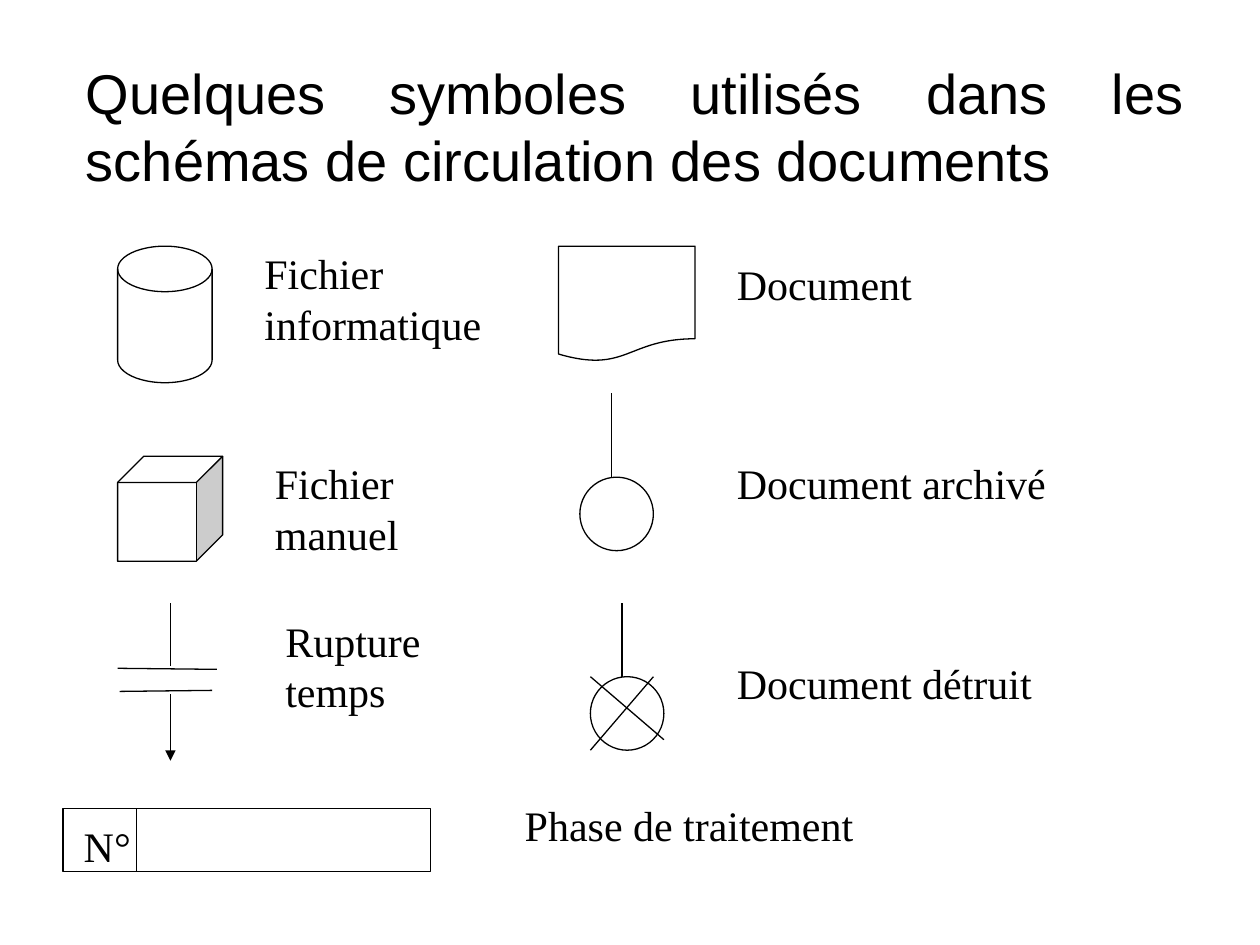
from dataclasses import dataclass

from lxml import etree
from pptx import Presentation
from pptx import util as u
from pptx.dml.color import RGBColor
from pptx.enum import shapes, text
from pptx.oxml.ns import qn


@dataclass(frozen=True)
class Theme:
    ink: RGBColor = RGBColor(0, 0, 0)
    paper: RGBColor = RGBColor(255, 255, 255)
    title_font: str = "Arial"
    label_font: str = "Times New Roman"
    title_size: int = 32
    label_size: int = 24
    line_width: float = 0.75


THEME = Theme()
KIND = shapes.MSO_SHAPE
COLUMNS = 120  # square grid of 120 columns by 90 rows
SLIDE_WIDTH, SLIDE_HEIGHT = u.Inches(10), u.Inches(7.5)


def grid(*cells):
    """Turn columns and rows into slide lengths."""
    return [round(cell * SLIDE_WIDTH / COLUMNS) for cell in cells]


def draw_line(line):
    line.color.rgb = THEME.ink
    line.width = u.Pt(THEME.line_width)


def add_symbol(page, kind, left, top, width, height):
    symbol = page.shapes.add_shape(kind, *grid(left, top, width, height))
    symbol.shadow.inherit = False
    symbol.fill.solid()
    symbol.fill.fore_color.rgb = THEME.paper
    draw_line(symbol.line)


def add_line(page, start, end, arrow=False):
    line = page.shapes.add_connector(
        shapes.MSO_CONNECTOR.STRAIGHT, *grid(*start, *end))
    draw_line(line.line)
    if arrow:
        outline = line.line._get_or_add_ln()
        etree.SubElement(outline, qn("a:tailEnd"), type="triangle")
    etree.SubElement(line._element.spPr, qn("a:effectLst"))


def add_text(page, words, area, font, size, wrap=False, align=None):
    box = page.shapes.add_textbox(*grid(*area))
    frame = box.text_frame
    frame.word_wrap = wrap
    frame.auto_size = text.MSO_AUTO_SIZE.SHAPE_TO_FIT_TEXT
    frame.text = words
    for para in frame.paragraphs:
        para.alignment = align
        for span in para.runs:
            span.font.name = font
            span.font.size = u.Pt(size)
            span.font.color.rgb = THEME.ink


def add_label(page, words, left, top, width):
    height = 6 if "\n" not in words else 10.8
    add_text(page, words, (left, top, width, height),
             THEME.label_font, THEME.label_size)


def add_circle_with_stem(page, left, top, stem):
    """Circle hanging from a vertical line slightly left of its centre."""
    add_symbol(page, KIND.OVAL, left, top, 7, 7)
    add_line(page, (left + 3, top - stem), (left + 3, top))


def main():
    deck = Presentation()
    deck.slide_width, deck.slide_height = SLIDE_WIDTH, SLIDE_HEIGHT
    page = deck.slides.add_slide(deck.slide_layouts[6])

    # Title
    add_text(page, "Quelques symboles utilisés dans les schémas de "
             "circulation des documents", (7, 4.97, 107, 14),
             THEME.title_font, THEME.title_size, wrap=True,
             align=text.PP_ALIGN.JUSTIFY)

    # Files and document
    add_symbol(page, KIND.FLOWCHART_MAGNETIC_DISK, 11.2, 23.45, 9, 13)
    add_symbol(page, KIND.CUBE, 11.2, 43.45, 10, 10)
    add_symbol(page, KIND.FLOWCHART_DOCUMENT, 53.2, 23.45, 13, 11)

    # Archived document, then destroyed document with its cross
    add_circle_with_stem(page, 55.23, 45.45, stem=8)
    add_circle_with_stem(page, 56.23, 64.45, stem=7)
    add_line(page, (62.23, 64.45), (56.23, 71.45))
    add_line(page, (56.23, 64.45), (63.23, 70.45))

    # Break in time
    add_line(page, (11.2, 63.65), (20.65, 63.75))
    add_line(page, (11.4, 65.85), (20.2, 65.75))
    add_line(page, (16.23, 57.45), (16.23, 63.45))
    add_line(page, (16.23, 66.1), (16.23, 72.45), arrow=True)

    # Processing phase
    add_symbol(page, KIND.RECTANGLE, 6, 77, 35, 6)
    add_line(page, (13, 77), (13, 83))

    # Labels: words, column, row, width
    labels = [
        ("Fichier\ninformatique", 24, 23, 23.4),
        ("Fichier\nmanuel", 25, 43, 14.4),
        ("Rupture\ntemps", 26, 58, 15.6),
        ("Phase de traitement", 48.8, 75.6, 33.9),
        ("N°", 6.8, 77.55, 7.2),
        ("Document", 69, 24, 19.3),
        ("Document archivé", 69, 43, 32),
        ("Document détruit", 69, 62, 30.7),
    ]
    for label in labels:
        add_label(page, *label)

    deck.save("out.pptx")


if __name__ == "__main__":
    main()
